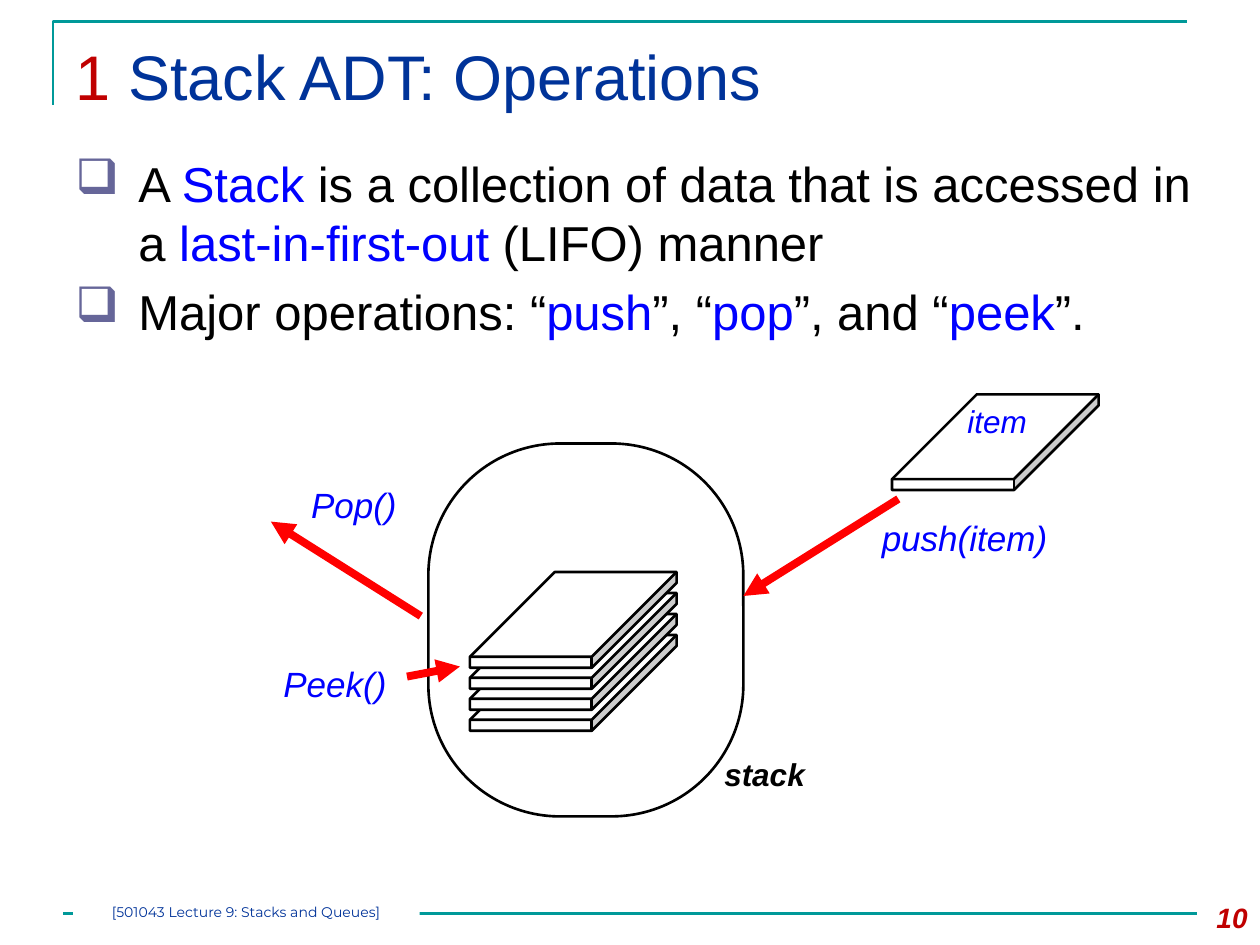
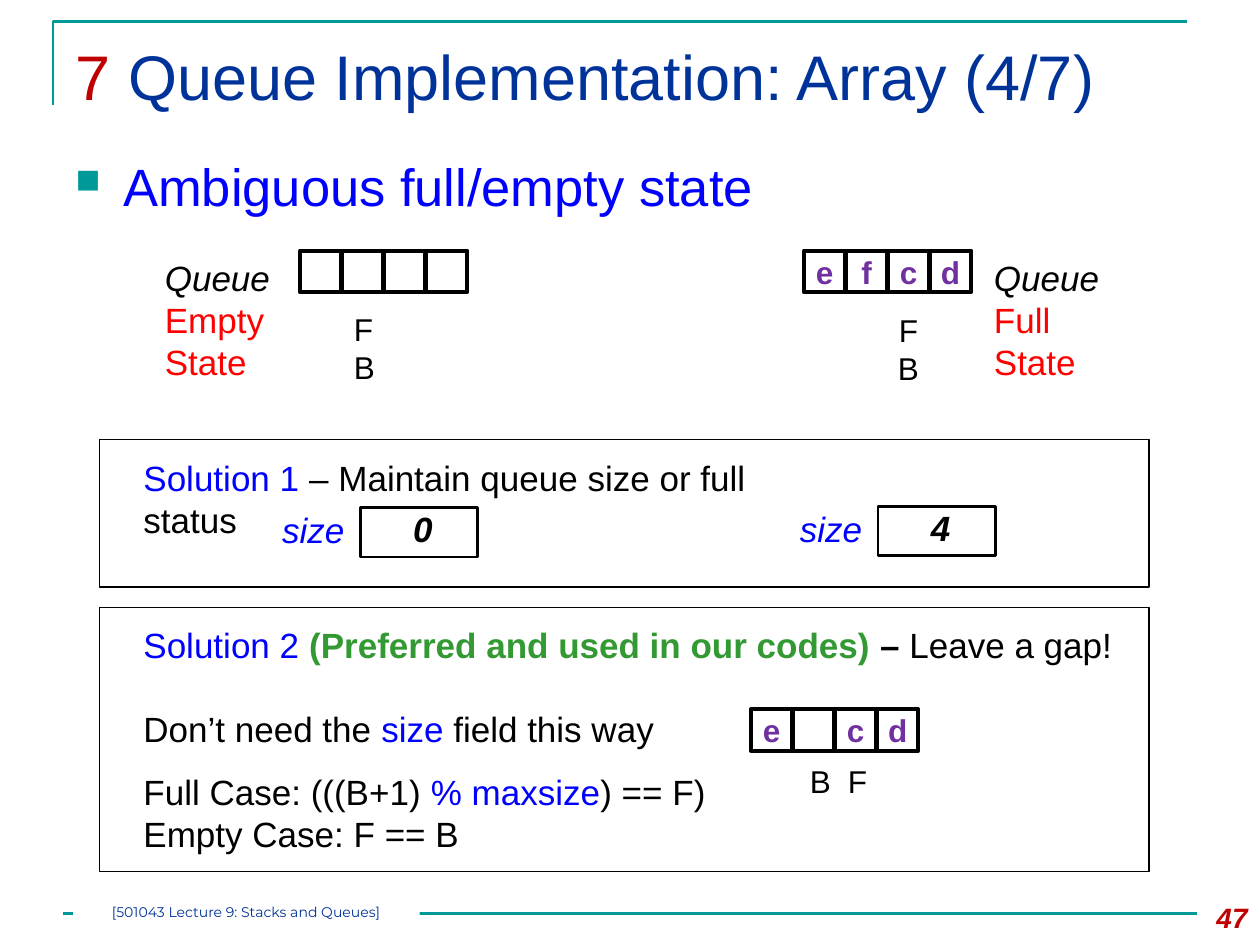
from lxml import etree
from pptx import Presentation
from pptx.dml.color import RGBColor
from pptx.enum import shapes, text
from pptx.oxml import ns
from pptx.util import Inches, Pt

TEAL = RGBColor(0x00, 0x99, 0x99)
NAVY = RGBColor(0x00, 0x33, 0x99)
MAROON = RGBColor(0xC0, 0x00, 0x00)
BLUE = RGBColor(0x00, 0x00, 0xFF)
RED = RGBColor(0xFF, 0x00, 0x00)
GREEN = RGBColor(0x33, 0x99, 0x33)
PURPLE = RGBColor(0x70, 0x30, 0xA0)
SLATE = RGBColor(0x66, 0x66, 0x99)
BLACK = RGBColor(0, 0, 0)
WHITE = RGBColor(0xFF, 0xFF, 0xFF)

KIND = shapes.MSO_SHAPE
LEFT, MID, RIGHT = text.PP_ALIGN.LEFT, text.PP_ALIGN.CENTER, text.PP_ALIGN.RIGHT


def box(slide, at, kind=None, edge=0.0):
    """Add a white preset shape with a black edge, or a text box if no kind is given."""
    place = [Inches(n) for n in at]
    if kind is None:
        return slide.shapes.add_textbox(*place)
    shape = slide.shapes.add_shape(kind, *place)
    shape.shadow.inherit = False
    shape.fill.solid()
    shape.fill.fore_color.rgb = WHITE
    if edge:
        shape.line.color.rgb = BLACK
        shape.line.width = Pt(edge)
    else:
        shape.line.fill.background()
    return shape


def write(shape, lines, size, align=LEFT, face="Arial"):
    """Fill a shape with lines of (text, colour, style) runs; style holds b and i."""
    frame = shape.text_frame
    frame.word_wrap = True
    frame.auto_size = text.MSO_AUTO_SIZE.NONE
    frame.vertical_anchor = text.MSO_ANCHOR.TOP
    for n, line in enumerate(lines):
        para = frame.add_paragraph() if n else frame.paragraphs[0]
        para.alignment = align
        for words, color, style in line:
            run = para.add_run()
            run.text = words
            run.font.name = face
            run.font.size = Pt(size)
            run.font.color.rgb = color
            run.font.bold = "b" in style
            run.font.italic = "i" in style
    return frame


deck = Presentation()
deck.slide_width, deck.slide_height = Inches(10), Inches(7.5)

# Shared frame, title, page number and footer
pages = []
for mark, name, page in (
    ("1 ", "Stack ADT: Operations", "10"),
    ("7 ", "Queue Implementation: Array (4/7)", "47"),
):
    slide = deck.slides.add_slide(deck.slide_layouts[5])
    pages.append(slide)
    path = slide.shapes.build_freeform(Inches(0.42), Inches(0.83))
    path.add_line_segments(
        [(Inches(0.42), Inches(0.17)), (Inches(9.42), Inches(0.17))], close=False)
    corner = path.convert_to_shape()
    corner.shadow.inherit = False
    corner.fill.background()
    rule = slide.shapes.add_connector(
        shapes.MSO_CONNECTOR.STRAIGHT, Inches(0.5), Inches(7.25), Inches(9.5), Inches(7.25))
    etree.SubElement(rule._element.spPr, ns.qn("a:effectLst"))
    for edge in (corner, rule):
        edge.line.color.rgb = TEAL
        edge.line.width = Pt(1.5)

    title = slide.shapes.title
    title.left, title.top = Inches(0.5), Inches(0.25)
    title.width, title.height = Inches(9), Inches(0.86)
    write(title, [[(mark, MAROON, ""), (name, NAVY, "")]], 36)
    write(box(slide, (9.33, 7.1, 0.67, 0.4)), [[(page, MAROON, "bi")]], 16, RIGHT)
    foot = box(slide, (0.58, 7.17, 2.75, 0.17), KIND.RECTANGLE)
    frame = write(foot, [[("[501043 Lecture 9: Stacks and Queues]", NAVY, "")]],
                  8, MID, "Montserrat")
    frame.margin_left = frame.margin_right = frame.margin_top = frame.margin_bottom = 0

stack, queue = pages

# Bulleted text
points = [
    [("A ", BLACK, ""), ("Stack", BLUE, ""),
     (" is a collection of data that is accessed in a ", BLACK, ""),
     ("last-in-first-out", BLUE, ""), (" (LIFO) manner", BLACK, "")],
    [("Major operations: “", BLACK, ""), ("push", BLUE, ""), ("”, “", BLACK, ""),
     ("pop", BLUE, ""), ("”, and “", BLACK, ""), ("peek", BLUE, ""), ("”.", BLACK, "")],
]
state = [[("Ambiguous full/empty state", BLUE, "")]]
for slide, at, lines, size, char, color, scale, dent in (
    (stack, (0.5, 1.17, 9.17, 1.58), points, 28, "❑", SLATE, 100, 0.5),
    (queue, (0.5, 1.17, 9, 0.75), state, 30, "■", TEAL, 65, 0.38),
):
    frame = write(box(slide, at), lines, size)
    for n, para in enumerate(frame.paragraphs):
        props = para._p.get_or_add_pPr()
        props.set("marL", str(Inches(dent)))
        props.set("indent", str(-Inches(dent)))
        tint = etree.SubElement(props, ns.qn("a:buClr"))
        etree.SubElement(tint, ns.qn("a:srgbClr"), val=str(color))
        etree.SubElement(props, ns.qn("a:buSzPct"), val=str(scale * 1000))
        etree.SubElement(props, ns.qn("a:buChar"), char=char)
        if n:
            para.space_before = Pt(size * 0.2)

# Stack diagram
shell = box(stack, (3.4, 3.52, 2.5, 2.96), KIND.ROUNDED_RECTANGLE, 1.5)
shell.adjustments[0] = 0.418
plates = [(3.73, 5.04 - n / 6) for n in range(4)] + [(7.08, 3.13)]
for x, y in plates:
    plate = box(stack, (x, y, 1.64, 0.76), KIND.CUBE, 1.5)
    plate.adjustments[0] = 0.886

for ends in ((7.13, 3.96, 5.9, 4.73), (3.34, 4.89, 2.15, 4.14), (3.23, 5.37, 3.65, 5.29)):
    arrow = stack.shapes.add_connector(
        shapes.MSO_CONNECTOR.STRAIGHT, *[Inches(n) for n in ends])
    arrow.line.color.rgb = RED
    arrow.line.width = Pt(4.5)
    etree.SubElement(arrow.line._get_or_add_ln(), ns.qn("a:tailEnd"), type="triangle")
    etree.SubElement(arrow._element.spPr, ns.qn("a:effectLst"))

for words, at, size, color, style in (
    ("stack", (5.65, 5.94, 1.06, 0.5), 18, BLACK, "bi"),
    ("push(item)", (6.9, 4.05, 1.63, 0.44), 20, BLUE, "i"),
    ("Pop()", (2.37, 3.79, 0.98, 0.43), 20, BLUE, "i"),
    ("Peek()", (2.15, 5.21, 1.12, 0.43), 20, BLUE, "i"),
    ("item", (7.58, 3.14, 0.78, 0.4), 18, BLUE, "i"),
):
    write(box(stack, at), [[(words, color, style)]], size)

# Queue states
for x, word in ((1.21, "Empty"), (7.79, "Full")):
    write(box(queue, (x, 1.99, 1.13, 1.1)),
          [[("Queue", BLACK, "i")], [(word, RED, "")], [("State", RED, "")]], 20)
for x, y, align in ((2.71, 2.41, LEFT), (7, 2.42, MID)):
    write(box(queue, (x, y, 0.42, 0.7)), [[("F", BLACK, "")], [("B", BLACK, "")]], 18, align)

# Solution panels
for y, high in ((3.49, 1.17), (4.82, 2.1)):
    box(queue, (0.79, y, 8.33, high), KIND.RECTANGLE, 0.75)

write(box(queue, (1.04, 3.57, 5.7, 0.78)),
      [[("Solution 1 ", BLUE, ""), ("– Maintain queue size or full status", BLACK, "")]], 20)
for x, y, count in ((2.14, 3.99, "0"), (6.25, 3.98, "4")):
    box(queue, (x + 0.72, y + 0.04, 0.93, 0.39), KIND.RECTANGLE, 1.5)
    write(box(queue, (x, y, 0.79, 0.43)), [[("size", BLUE, "i")]], 20)
    write(box(queue, (x + 1.04, y - 0.01, 0.46, 0.43)), [[(count, BLACK, "bi")]], 20)

frame = write(box(queue, (1.04, 4.9, 8, 1.95)), [
    [("Solution 2 ", BLUE, ""), ("(Preferred and used in our codes) ", GREEN, "b"),
     ("– ", BLACK, "b"), ("Leave a gap!", BLACK, "")],
    [("Don’t need the ", BLACK, ""), ("size", BLUE, ""), (" field this way", BLACK, "")],
    [("Full Case: (((B+1)", BLACK, ""), (" % maxsize", BLUE, ""), (") == F)", BLACK, "")],
    [("Empty Case: F == B", BLACK, "")],
], 20)
frame.paragraphs[1].space_before = Pt(24)
frame.paragraphs[2].space_before = Pt(12)

# Array cells, drawn left to right
for x, y, items in (
    (2.38, 1.99, ("", "", "", "")),
    (6.38, 1.99, ("e", "f", "c", "d")),
    (5.96, 5.63, ("e", "", "c", "d")),
):
    for n, item in enumerate(items):
        cell = box(queue, (x + n / 3, y, 0.33, 0.33), KIND.RECTANGLE, 2.25)
        if item:
            frame = write(cell, [[(item, PURPLE, "b")]], 18, MID)
            frame.vertical_anchor = text.MSO_ANCHOR.MIDDLE
            frame.margin_left = frame.margin_right = 0
for x, item in ((6.33, "B"), (6.63, "F")):
    write(box(queue, (x, 6, 0.42, 0.39)), [[(item, BLACK, "")]], 18)

deck.save("out.pptx")
